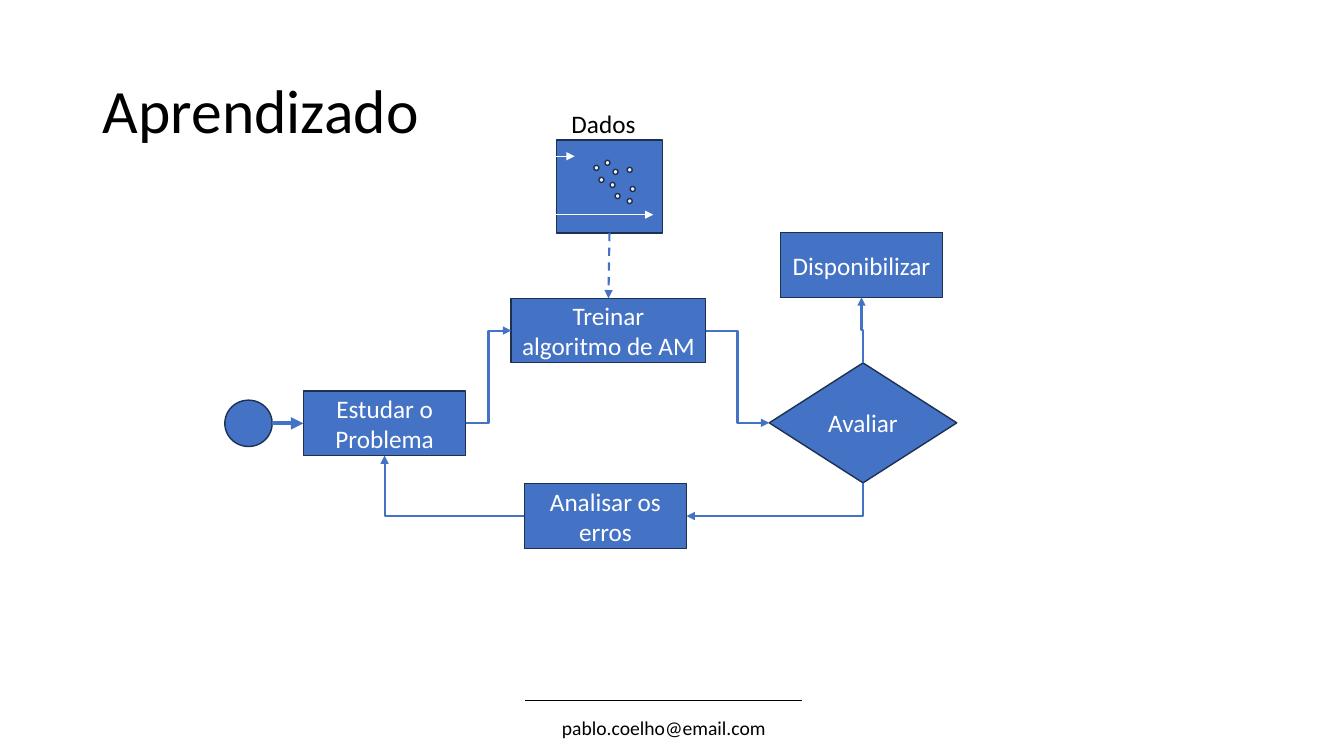
from lxml import etree
from pptx import Presentation
from pptx import util as u
from pptx.dml.color import RGBColor
from pptx.enum import dml, shapes, text
from pptx.oxml.ns import qn

TITLE = ("Aprendizado", (0.92, 0.4, 11.5, 1.45))
FOOTER = ("pablo.coelho@email.com", (5.21, 7.05, 2.75, 0.34))
FOOTER_RULE = ((5.21, 6.95), (7.95, 6.95))
DATA_LABEL = ("Dados", (5.57, 1.03, 0.96, 0.4))

# key: (preset, text, (left, top, width, height))
STEPS = {
    "start": ("OVAL", "", (2.23, 3.97, 0.47, 0.46)),
    "study": ("RECTANGLE", "Estudar o Problema", (3.01, 3.88, 1.61, 0.64)),
    "train": ("RECTANGLE", "Treinar algoritmo de AM", (5.07, 2.96, 1.93, 0.64)),
    "analyse": ("RECTANGLE", "Analisar os erros", (5.2, 4.8, 1.61, 0.64)),
    "evaluate": ("DIAMOND", "Avaliar", (7.63, 3.6, 1.86, 1.19)),
    "deploy": ("RECTANGLE", "Disponibilizar", (7.74, 2.31, 1.61, 0.64)),
}
TOP, LEFT, BOTTOM, RIGHT = range(4)
# (from, side, to, side, elbow preset)
FLOWS = [
    ("study", RIGHT, "train", LEFT, "bentConnector3"),
    ("analyse", LEFT, "study", BOTTOM, "bentConnector2"),
    ("evaluate", BOTTOM, "analyse", RIGHT, "bentConnector2"),
    ("train", RIGHT, "evaluate", LEFT, "bentConnector3"),
    ("evaluate", TOP, "deploy", BOTTOM, "bentConnector3"),
]
DATA_BOX = (5.52, 1.39, 1.05, 0.92)
DATA_AXES = ((5.7, 1.55), (6.48, 2.13))
AXES_BEND = -0.581
DOT = 0.05
DOTS = [(5.89, 1.64), (5.94, 1.76), (6.08, 1.68), (6, 1.59), (6.05, 1.81),
        (6.22, 1.97), (6.1, 1.92), (6.25, 1.85), (6.22, 1.66)]

THEME = {
    "font": "Calibri", "title": 44, "body": 18, "footer": 14,
    "blue": "4472C4", "edge": "1C3052", "dot": "F2F2F2",
    "white": "FFFFFF", "black": "000000",
}


def color(name):
    return RGBColor.from_string(THEME[name])


def inches(values):
    return [u.Inches(v) for v in values]


def write(sp, words, size, ink, align=None, anchor=text.MSO_ANCHOR.TOP):
    tf = sp.text_frame
    for name, value in {"word_wrap": True, "vertical_anchor": anchor,
                        "auto_size": text.MSO_AUTO_SIZE.NONE}.items():
        setattr(tf, name, value)
    p = tf.paragraphs[0]
    p.alignment = align
    r = p.add_run()
    r.text = words
    for name, value in {"name": THEME["font"], "size": u.Pt(THEME[size])}.items():
        setattr(r.font, name, value)
    r.font.color.rgb = color(ink)
    return p


def add_block(tree, preset, box, fill="blue"):
    sp = tree.add_shape(getattr(shapes.MSO_SHAPE, preset), *inches(box))
    sp.shadow.inherit = False
    sp.fill.solid()
    sp.fill.fore_color.rgb = color(fill)
    sp.line.color.rgb = color("edge")
    sp.line.width = u.Pt(1)
    return sp


def add_line(tree, begin, end, ink="blue", width=1.5, ends=("tailEnd",),
             dash=None, kind=shapes.MSO_CONNECTOR.STRAIGHT):
    c = tree.add_connector(kind, *inches(begin + end))
    c.line.color.rgb = color(ink)
    c.line.width = u.Pt(width)
    if dash:
        c.line.dash_style = dash
    sp_pr = c.element.spPr
    for tag in ends:
        etree.SubElement(sp_pr.find(qn("a:ln")), qn("a:" + tag), type="triangle")
    etree.SubElement(sp_pr, qn("a:effectLst"))
    return c


def side_point(key, side):
    x, y, w, h = STEPS[key][2]
    return {TOP: (x + w / 2, y), LEFT: (x, y + h / 2),
            BOTTOM: (x + w / 2, y + h), RIGHT: (x + w, y + h / 2)}[side]


def add_elbow(tree, begin, end, preset, upright=False, bend=None, **look):
    """Draw a bent line; an upright one leaves vertically, as a frame turned by 90°."""
    if upright:
        mx, my = (begin[0] + end[0]) / 2, (begin[1] + end[1]) / 2
        hx, hy = (end[1] - begin[1]) / 2, (begin[0] - end[0]) / 2
        begin, end = (mx - hx, my - hy), (mx + hx, my + hy)
    c = add_line(tree, begin, end, kind=shapes.MSO_CONNECTOR.ELBOW, **look)
    sp_pr = c.element.spPr
    geom = sp_pr.find(qn("a:prstGeom"))
    geom.set("prst", preset)
    if upright:
        sp_pr.find(qn("a:xfrm")).set("rot", str(90 * 60000))
    if bend is not None:
        etree.SubElement(geom.find(qn("a:avLst")), qn("a:gd"),
                         name="adj1", fmla=f"val {round(bend * 100000)}")


def add_data_chart(tree):
    group = tree.add_group_shape().shapes
    box = add_block(group, "RECTANGLE", DATA_BOX)
    add_elbow(group, *DATA_AXES, "bentConnector3", bend=AXES_BEND,
              ink="white", width=0.75, ends=("headEnd", "tailEnd"))
    for dot in DOTS:
        add_block(group, "OVAL", dot + (DOT, DOT), "dot")
    return box


def add_label(tree, words, box, size, align=None):
    write(tree.add_textbox(*inches(box)), words, size, "black", align)


def main():
    prs = Presentation()
    prs.slide_width, prs.slide_height = inches((13.33, 7.5))
    s = prs.slides.add_slide(prs.slide_layouts[5])
    tree = s.shapes
    center, middle = text.PP_ALIGN.CENTER, text.MSO_ANCHOR.MIDDLE

    add_line(tree, *FOOTER_RULE, ink="black", width=0.75, ends=())
    add_label(tree, *FOOTER, "footer", center)

    words, box = TITLE
    title = tree.title
    for name, value in zip(("left", "top", "width", "height"), inches(box)):
        setattr(title, name, value)
    write(title, words, "title", "black", text.PP_ALIGN.LEFT, middle).line_spacing = 0.9

    blocks = {}
    for key, (preset, words, box) in STEPS.items():
        blocks[key] = add_block(tree, preset, box)
        if words:
            write(blocks[key], words, "body", "white", center, middle)

    first = add_line(tree, side_point("start", RIGHT), side_point("study", LEFT), width=3)
    first.end_connect(blocks["study"], LEFT)
    for source, out, target, into, preset in FLOWS:
        add_elbow(tree, side_point(source, out), side_point(target, into), preset,
                  upright=out in (TOP, BOTTOM))

    data = add_data_chart(tree)
    x, y, w, h = DATA_BOX
    feed = add_line(tree, (x + w / 2, y + h), side_point("train", TOP),
                    dash=dml.MSO_LINE.DASH)
    feed.begin_connect(data, BOTTOM)
    feed.end_connect(blocks["train"], TOP)
    add_label(tree, *DATA_LABEL, "body")

    prs.save("out.pptx")


if __name__ == "__main__":
    main()
